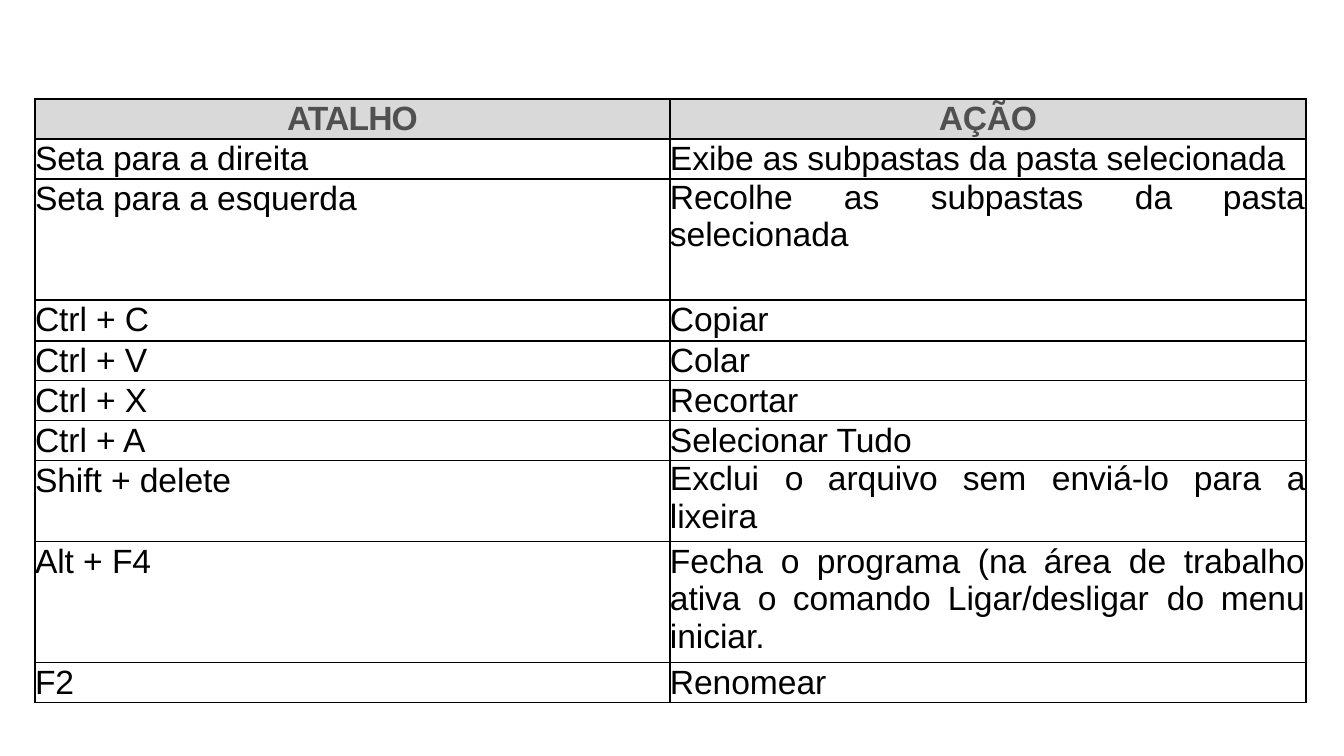
from pptx import Presentation, util as u
from pptx.dml.color import RGBColor
from pptx.enum import text
from pptx.oxml import ns
from lxml import etree

BLACK = RGBColor(0, 0, 0)
GRAY = RGBColor(0x50, 0x50, 0x50)
LIGHT = RGBColor(0xD9, 0xD9, 0xD9)
WHITE = RGBColor(255, 255, 255)
SCALE = 9071.43


def px(n):
    return u.Emu(round(n * SCALE))


class Deck:
    font = "Arial"
    size = u.Pt(24)

    def __init__(self, wide, high):
        self.prs = Presentation()
        self.prs.slide_width, self.prs.slide_height = px(wide), px(high)
        self.slide = self.prs.slides.add_slide(self.prs.slide_layouts[6])

    def table(self, left, top, widths, heights):
        frame = self.slide.shapes.add_table(
            len(heights), len(widths), px(left), px(top),
            px(sum(widths)), px(sum(heights)))
        grid = frame.table
        grid.first_row = grid.horz_banding = False
        for col, width in zip(grid.columns, widths):
            col.width = px(width)
        for row, height in zip(grid.rows, heights):
            row.height = px(height)
        return grid

    def cell(self, cell, lines, fill, color, head, track, pitch):
        cell.margin_left = cell.margin_right = 0
        cell.margin_top = cell.margin_bottom = 0
        self.edge(cell)
        cell.fill.solid()
        cell.fill.fore_color.rgb = fill
        frame = cell.text_frame
        for i, (words, tabs) in enumerate(lines):
            par = frame.add_paragraph() if i else frame.paragraphs[0]
            par.text = words
            par.alignment = text.PP_ALIGN.CENTER if head else text.PP_ALIGN.LEFT
            if not i:
                par.line_spacing = u.Pt(pitch)
            self.tabs(par, tabs)
            font = par.font
            font.name, font.size, font.bold = self.font, self.size, head
            font.color.rgb = color
            par._p.pPr.find(ns.qn("a:defRPr")).set("spc", str(track))

    def tabs(self, par, stops):
        if stops:
            group = etree.SubElement(par._p.get_or_add_pPr(), ns.qn("a:tabLst"))
            for stop in stops:
                etree.SubElement(group, ns.qn("a:tab"),
                                 pos=str(px(stop)), algn="l")

    def edge(self, cell):
        props = cell._tc.get_or_add_tcPr()
        for side in ("lnL", "lnR", "lnT", "lnB"):
            line = etree.SubElement(props, ns.qn("a:" + side), w=str(u.Pt(1)))
            fill = etree.SubElement(line, ns.qn("a:solidFill"))
            etree.SubElement(fill, ns.qn("a:srgbClr"), val=str(BLACK))


HEADS = (("ATALHO", -60), ("AÇÃO", -20))
KEYS = [
    (40, "Seta para a direita", 27.4,
     [("Exibe as subpastas da pasta selecionada", ())]),
    (121, "Seta para a esquerda", 26.9,
     [("Recolhe\tas\tsubpastas\tda\tpasta", (174, 261, 465, 553)),
      ("selecionada", ())]),
    (41, "Ctrl + C", 27.4, [("Copiar", ())]),
    (40, "Ctrl + V", 27.4, [("Colar", ())]),
    (40, "Ctrl + X", 27.4, [("Recortar", ())]),
    (40, "Ctrl + A", 27.4, [("Selecionar Tudo", ())]),
    (81, "Shift + delete", 26.6,
     [("Exclui\to\tarquivo\tsem\tenviá-lo\tpara\ta",
       (115, 158, 293, 382, 524, 617)),
      ("lixeira", ())]),
    (121, "Alt + F4", 27.4,
     [("Fecha\to\tprograma\t(na\tárea\tde\ttrabalho",
       (111, 147, 308, 374, 459, 514)),
      ("ativa\to\tcomando\tLigar/desligar\tdo\tmenu",
       (88, 123, 278, 497, 551)),
      ("iniciar.", ())]),
    (40, "F2", 27.4, [("Renomear", ())]),
]

deck = Deck(1344, 756)
grid = deck.table(35, 99, (635, 636), [40] + [key[0] for key in KEYS])
for col, (title, track) in enumerate(HEADS):
    deck.cell(grid.cell(0, col), [(title, ())], LIGHT, GRAY, True, track, 27.4)
for row, (_, keys, pitch, action) in enumerate(KEYS, 1):
    deck.cell(grid.cell(row, 0), [(keys, ())], WHITE, BLACK, False, -5, 27.4)
    deck.cell(grid.cell(row, 1), action, WHITE, BLACK, False, -5, pitch)
deck.prs.save("out.pptx")
